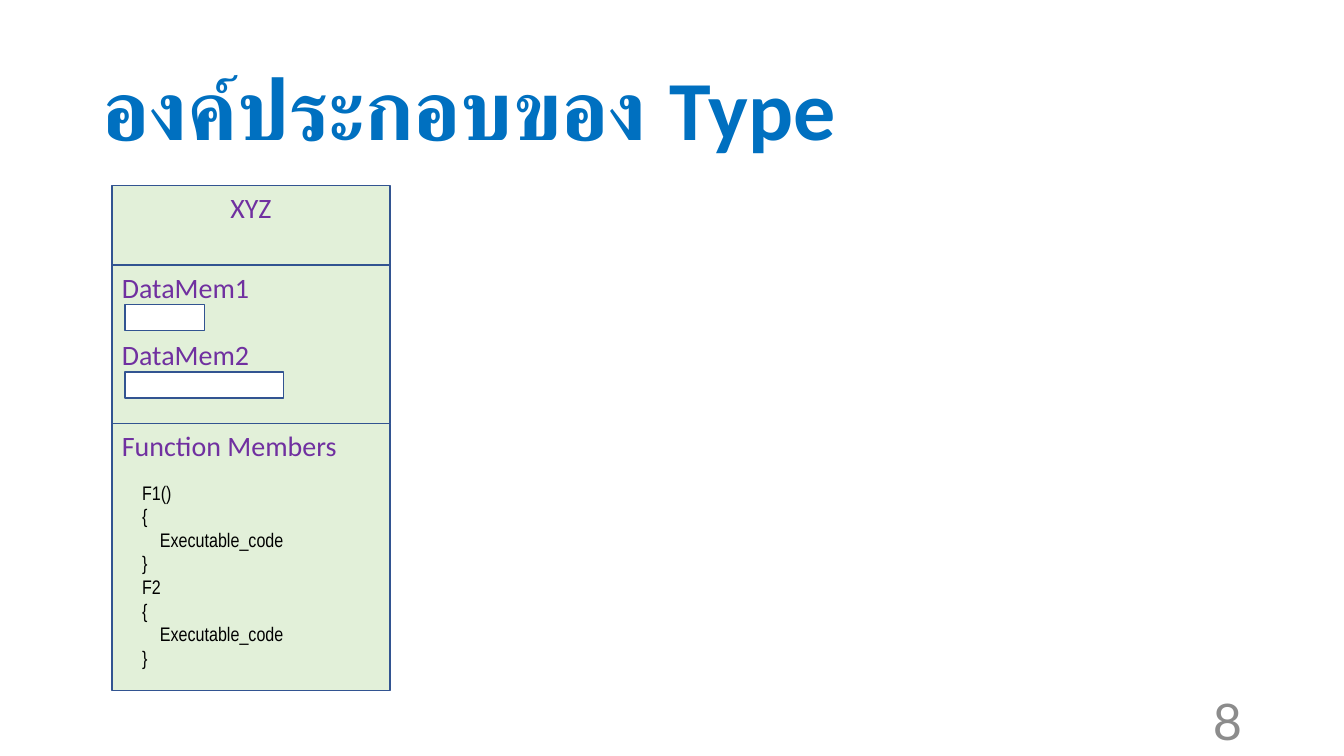
from pptx import Presentation
from pptx import util as u
from pptx.dml.color import RGBColor
from pptx.enum import shapes, text

THEME = {
    "title": ("Calibri", 60, "0070C0"),
    "number": ("Lato", 36, "8C8C8C"),
    "member": ("Calibri", 20, "7030A0"),
    "code": ("Arial Narrow", 14, "000000"),
    "section_fill": "E2F0D9",
    "slot_fill": "FFFFFF",
    "outline": "325491",
}
LEFT, CENTER, RIGHT = text.PP_ALIGN.LEFT, text.PP_ALIGN.CENTER, text.PP_ALIGN.RIGHT
TOP, MIDDLE = text.MSO_ANCHOR.TOP, text.MSO_ANCHOR.MIDDLE

deck = Presentation()
deck.slide_width, deck.slide_height = u.Cm(33.87), u.Cm(19.05)
slide = deck.slides.add_slide(deck.slide_layouts[6])


def write(holder, lines, style, align=LEFT, anchor=TOP):
    """Write one paragraph per line in a theme style and return the paragraphs."""
    frame = holder.text_frame
    frame.word_wrap = True
    frame.vertical_anchor = anchor
    family, size, colour = THEME[style]
    for index, line in enumerate(lines):
        paragraph = frame.add_paragraph() if index else frame.paragraphs[0]
        paragraph.alignment = align
        run = paragraph.add_run()
        run.text = line
        run.font.name, run.font.size = family, u.Pt(size)
        run.font.color.rgb = RGBColor.from_string(colour)
    return frame.paragraphs


def add_box(left, top, width, height, fill):
    """Draw an outlined rectangle, with lengths in centimetres."""
    box = slide.shapes.add_shape(
        shapes.MSO_SHAPE.RECTANGLE, u.Cm(left), u.Cm(top), u.Cm(width), u.Cm(height))
    box.shadow.inherit = False
    box.fill.solid()
    box.fill.fore_color.rgb = RGBColor.from_string(THEME[fill])
    box.line.color.rgb = RGBColor.from_string(THEME["outline"])
    box.line.width = u.Pt(1)
    return box


# Heading and page number
title = slide.shapes.add_textbox(u.Cm(2.34), u.Cm(1.02), u.Cm(29.21), u.Cm(3.68))
heading = write(title, ["องค์ประกอบของ Type"], "title", anchor=MIDDLE)[0]
heading.line_spacing = 0.9
heading.runs[0].font.bold = True

page_number = slide.shapes.add_textbox(u.Cm(23.93), u.Cm(17.65), u.Cm(7.62), u.Cm(1.02))
write(page_number, ["8"], "number", RIGHT, MIDDLE)

# Stacked sections of the type
section_top = 4.67
for height, lines, align in [
    (2.01, ["XYZ"], CENTER),
    (3.99, ["DataMem1", "DataMem2"], LEFT),
    (6.73, ["Function Members"], LEFT),
]:
    section = add_box(2.82, section_top, 7.01, height, "section_fill")
    for member in write(section, lines, "member", align)[1:]:
        member.space_before = u.Pt(24)
    section_top += height

# Storage slot below each data member
for slot_top, slot_width in [(7.67, 2.01), (9.37, 3.99)]:
    add_box(3.15, slot_top, slot_width, 0.66, "slot_fill")

# Bodies of the function members
code = slide.shapes.add_textbox(u.Cm(3.33), u.Cm(11.99), u.Cm(6.05), u.Cm(5.05))
body = ["{", "Executable_code", "}"]
for statement in write(code, ["F1()", *body, "F2", *body], "code"):
    if statement.text == "Executable_code":
        statement._p.get_or_add_pPr().set("marL", str(u.Cm(0.45)))

deck.save("out.pptx")
